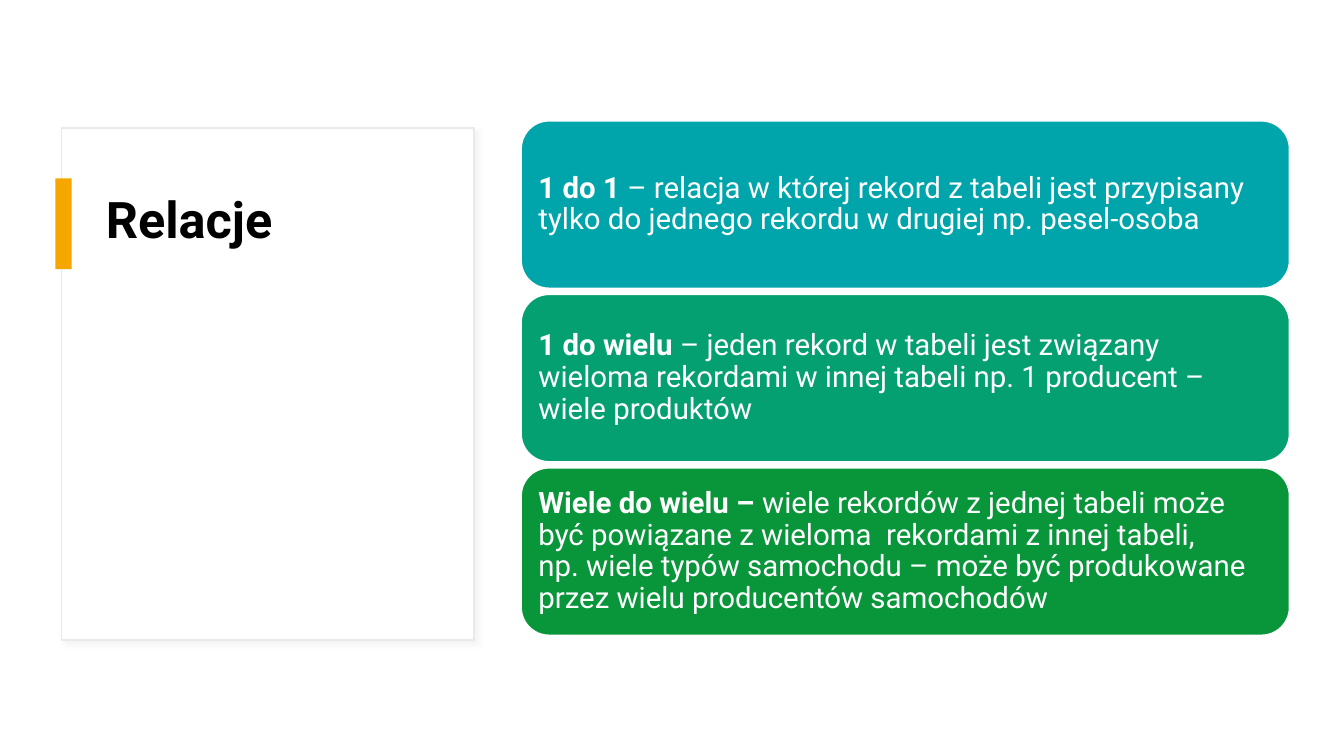
from lxml.etree import SubElement
from pptx import Presentation
from pptx.dml.color import RGBColor
from pptx.enum.shapes import MSO_SHAPE
from pptx.enum.text import MSO_ANCHOR, PP_ALIGN
from pptx.oxml.ns import qn
from pptx.util import Inches, Pt

COLORS = {
    "white": "FFFFFF",
    "black": "000000",
    "border": "E9E9E9",
    "shadow": "D9D9D9",
    "accent": "F5A700",
    "teal": "00A5AB",
    "emerald": "05A071",
    "green": "09963B",
}

RELATIONS = [
    ("teal", "1 do 1 ",
     "– relacja w której rekord z tabeli jest przypisany "
     "tylko do jednego rekordu w drugiej np. pesel-osoba"),
    ("emerald", "1 do wielu ",
     "– jeden rekord w tabeli jest związany wieloma rekordami "
     "w innej tabeli np. 1 producent – wiele produktów"),
    ("green", "Wiele do wielu – ",
     "wiele rekordów z jednej tabeli może być powiązane "
     "z wieloma  rekordami z innej tabeli, \n"
     "np. wiele typów samochodu – może być produkowane "
     "przez wielu producentów samochodów"),
]


class SlideBuilder:
    font = "Roboto"
    grid = 100

    def __init__(self, prs):
        self.col = prs.slide_width / self.grid
        self.row = prs.slide_height / self.grid
        self.s = prs.slides.add_slide(prs.slide_layouts[5])

    def color(self, name):
        return RGBColor.from_string(COLORS[name])

    def area(self, x, y, w, h):
        return [round(v) for v in (x * self.col, y * self.row, w * self.col, h * self.row)]

    def style(self, p, size, color):
        p.alignment = PP_ALIGN.LEFT
        p.line_spacing = 0.9
        p.font.name = self.font
        p.font.size = Pt(size)
        p.font.color.rgb = self.color(color)

    def box(self, area, fill, line=None, kind=MSO_SHAPE.RECTANGLE):
        sp = self.s.shapes.add_shape(kind, *self.area(*area))
        sp.shadow.inherit = False
        sp.fill.solid()
        sp.fill.fore_color.rgb = self.color(fill)
        if line:
            sp.line.color.rgb = self.color(line)
            sp.line.width = Pt(1)
        else:
            sp.line.fill.background()
        return sp

    def panel(self, area):
        sp = self.box(area, "white", "border")
        effects = sp.element.spPr.find(qn("a:effectLst"))
        shadow = SubElement(effects, qn("a:outerShdw"), blurRad=str(Pt(4)),
                            dist=str(Pt(3)), dir="2700000", algn="tl", rotWithShape="0")
        tint = SubElement(shadow, qn("a:srgbClr"), val=COLORS["shadow"])
        SubElement(tint, qn("a:alpha"), val="30000")

    def title(self, area, text):
        sp = self.s.shapes.title
        sp.left, sp.top, sp.width, sp.height = self.area(*area)
        self.s.shapes.element.append(sp.element)
        tf = sp.text_frame
        tf.text = text
        tf.word_wrap = True
        tf.vertical_anchor = MSO_ANCHOR.TOP
        p = tf.paragraphs[0]
        self.style(p, 36, "black")
        p.font.bold = True

    def card(self, area, fill, term, description):
        sp = self.box(area, fill, "white", MSO_SHAPE.ROUNDED_RECTANGLE)
        tf = sp.text_frame
        tf.word_wrap = True
        tf.vertical_anchor = MSO_ANCHOR.MIDDLE
        tf.margin_left = tf.margin_right = tf.margin_top = tf.margin_bottom = Inches(0.09)
        p = tf.paragraphs[0]
        self.style(p, 21, "white")
        p.space_after = Pt(7.35)
        r = p.add_run()
        r.text = term
        r.font.bold = True
        for i, line in enumerate(description.split("\n")):
            if i:
                p.add_line_break()
            p.add_run().text = line


def main():
    prs = Presentation()
    prs.slide_width, prs.slide_height = Inches(13.33), Inches(7.5)
    slide = SlideBuilder(prs)
    slide.panel((4.58, 16.93, 30.68, 67.73))
    slide.title((7.13, 25.07, 25.43, 51.33), "Relacje")
    slide.box((4.13, 23.6, 1.2, 12), "accent")
    for i, relation in enumerate(RELATIONS):
        slide.card((38.78, 16 + i * 22.95, 57.16, 22.13), *relation)
    prs.save("out.pptx")


if __name__ == "__main__":
    main()
